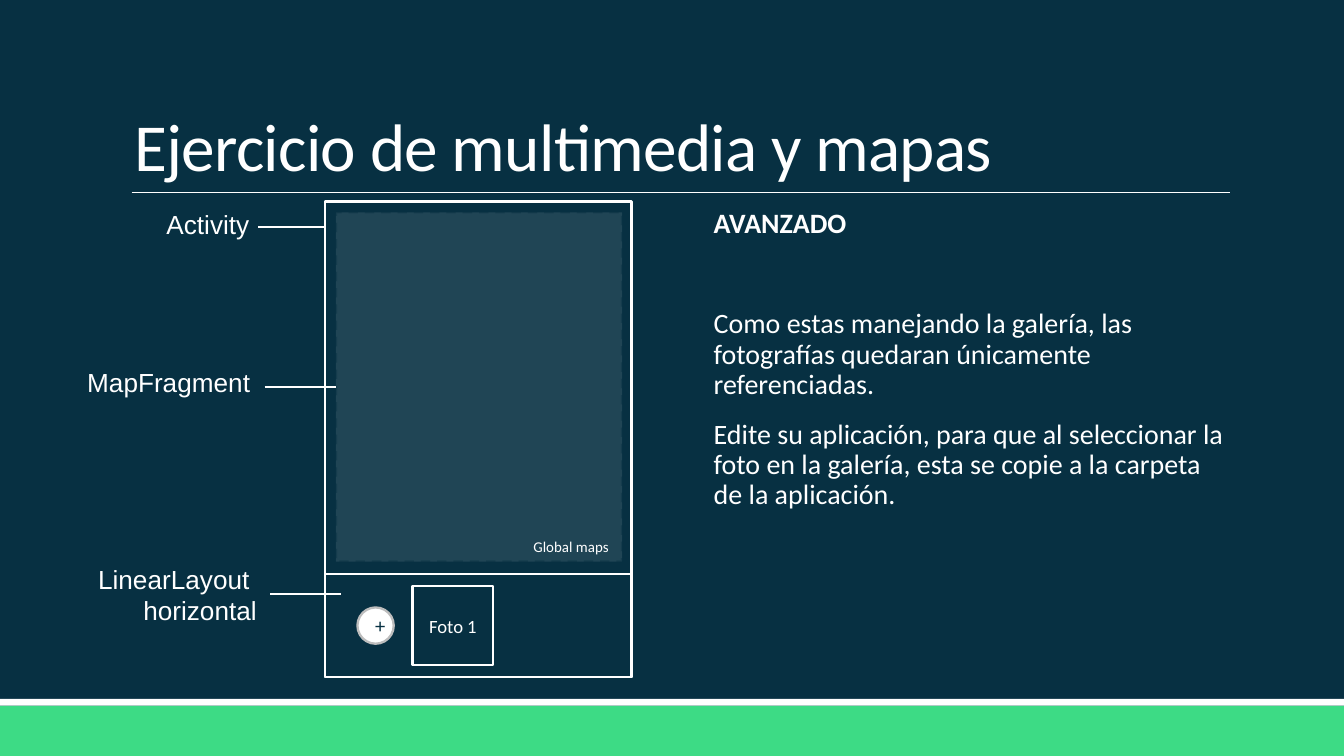
import pptx
import pptx.dml.color
import pptx.enum.dml
import pptx.enum.shapes
import pptx.enum.text
import pptx.oxml.ns
import pptx.util
from lxml import etree

Inches = pptx.util.Inches
Pt = pptx.util.Pt
SHAPES = pptx.enum.shapes.MSO_SHAPE
ALIGN = pptx.enum.text.PP_ALIGN
ANCHOR = pptx.enum.text.MSO_ANCHOR
AUTO_SIZE = pptx.enum.text.MSO_AUTO_SIZE

NAVY, GREEN, WHITE, GREY = "073042", "3DDB85", "FFFFFF", "BDBDBD"
PAGE_WIDTH = 10
PAGE_HEIGHT = PAGE_WIDTH * 9 / 16


def colour(hex_text):
    return pptx.dml.color.RGBColor.from_string(hex_text)


def set_alpha(fill, percent):
    """Make a solid fill (of a shape or a line) partly transparent."""
    fill_xml = fill._xPr.find(pptx.oxml.ns.qn("a:solidFill"))
    alpha = etree.SubElement(fill_xml[0], pptx.oxml.ns.qn("a:alpha"))
    alpha.set("val", str(percent * 1000))


def write(para, text, size=14, font="Calibri", ink=WHITE, bold=False,
          align=None, line_spacing=None, before=None, after=None, tracking=None):
    span = para.add_run()
    span.text = text
    span.font.size = Pt(size)
    span.font.name = font
    span.font.bold = bold
    span.font.color.rgb = colour(ink)
    if tracking is not None:
        span.font._element.set("spc", str(round(tracking * 100)))
    para.alignment = align
    para.line_spacing = line_spacing
    if before is not None:
        para.space_before = Pt(before)
    if after is not None:
        para.space_after = Pt(after)


def add_block(page, left, top, width, height, kind=SHAPES.RECTANGLE,
              fill=None, line=None):
    shape = page.shapes.add_shape(kind, Inches(left), Inches(top),
                                  Inches(width), Inches(height))
    shape.shadow.inherit = False
    if fill:
        shape.fill.solid()
        shape.fill.fore_color.rgb = colour(fill)
    else:
        shape.fill.background()
    if line:
        shape.line.color.rgb = colour(line)
        shape.line.width = Pt(1.25)
    else:
        shape.line.fill.background()
    return shape


def add_line(page, start_x, end_x, y, width=1):
    line = page.shapes.add_connector(
        pptx.enum.shapes.MSO_CONNECTOR.STRAIGHT,
        Inches(start_x), Inches(y), Inches(end_x), Inches(y))
    line.line.color.rgb = colour(WHITE)
    line.line.width = Pt(width)
    etree.SubElement(line._element.spPr, pptx.oxml.ns.qn("a:effectLst"))
    return line


def add_backdrop(page, width, height):
    page.background.fill.solid()
    page.background.fill.fore_color.rgb = colour(NAVY)
    footer_top = 5.25
    add_block(page, 0, footer_top, width, height - footer_top, fill=GREEN)
    add_block(page, 0, footer_top - 0.05, width, 0.05, fill=WHITE)


def add_title(page, left, top, width, height):
    title = page.shapes.title
    title.left, title.top = Inches(left), Inches(top)
    title.width, title.height = Inches(width), Inches(height)
    frame = title.text_frame
    frame.auto_size = AUTO_SIZE.NONE
    frame.vertical_anchor = ANCHOR.BOTTOM
    write(frame.paragraphs[0], "Ejercicio de multimedia y mapas", size=36,
          align=ALIGN.LEFT, line_spacing=0.85, before=0, tracking=-0.4)
    # Rule below the title
    add_line(page, left + 0.08, left + width, top + height, width=0.5)


def add_instructions(page, left, top, width, height):
    box = page.shapes.add_textbox(Inches(left), Inches(top),
                                  Inches(width), Inches(height))
    frame = box.text_frame
    frame.word_wrap = True
    frame.margin_left, frame.margin_right = Inches(0.07), 0
    paragraphs = [
        ("AVANZADO", True, 0),
        ("Como estas manejando la galería, las fotografías quedaran "
         "únicamente referenciadas.", False, 36),
        ("Edite su aplicación, para que al seleccionar la foto en la galería, "
         "esta se copie a la carpeta de la aplicación.", False, 9),
    ]
    for index, (text, bold, before) in enumerate(paragraphs):
        para = frame.add_paragraph() if index else frame.paragraphs[0]
        write(para, text, size=15, bold=bold, align=ALIGN.LEFT,
              line_spacing=0.9, before=before, after=1.5)


def add_wireframe(page, left, top, width, height):
    """Draw the app screen and return its map area."""
    # Activity and the gallery strip at its foot
    add_block(page, left, top, width, height, line=WHITE)
    strip_height = 0.77
    strip_top = top + height - strip_height
    add_block(page, left, strip_top, width, strip_height, line=WHITE)

    # Map fragment
    map_area = add_block(page, left + 0.08, top + 0.08, width - 0.15, 2.6,
                         fill=WHITE, line=NAVY)
    set_alpha(map_area.fill, 10)
    set_alpha(map_area.line.fill, 41)
    map_area.line.dash_style = pptx.enum.dml.MSO_LINE.DASH
    map_area.text_frame.vertical_anchor = ANCHOR.BOTTOM
    write(map_area.text_frame.paragraphs[0], "Global maps", size=8,
          align=ALIGN.RIGHT)

    # Add button and first photo
    button = add_block(page, left + 0.24, strip_top + 0.25, 0.27, 0.27,
                       kind=SHAPES.OVAL, fill=WHITE, line=GREY)
    photo = add_block(page, left + 0.65, strip_top + 0.09, 0.6, 0.59, line=WHITE)
    for shape, text, size, ink in ((button, "+", 11, NAVY),
                                   (photo, "Foto 1", 10, WHITE)):
        shape.text_frame.vertical_anchor = ANCHOR.MIDDLE
        write(shape.text_frame.paragraphs[0], text, size=size, ink=ink,
              align=ALIGN.CENTER)
    return map_area


def add_label(page, left, top, width, height, lines, line_start, line_end, line_y):
    """Place a label and its leader line, which is returned."""
    box = page.shapes.add_textbox(Inches(left), Inches(top),
                                  Inches(width), Inches(height))
    frame = box.text_frame
    frame.word_wrap = False
    frame.auto_size = AUTO_SIZE.SHAPE_TO_FIT_TEXT
    for index, text in enumerate(lines):
        para = frame.add_paragraph() if index else frame.paragraphs[0]
        write(para, text, font="Arial",
              align=ALIGN.RIGHT if len(lines) > 1 else ALIGN.LEFT)
    return add_line(page, line_start, line_end, line_y)


def main():
    deck = pptx.Presentation()
    deck.slide_width, deck.slide_height = Inches(PAGE_WIDTH), Inches(PAGE_HEIGHT)
    page = deck.slides.add_slide(deck.slide_layouts[5])

    add_backdrop(page, PAGE_WIDTH, PAGE_HEIGHT)
    add_title(page, 0.9, 0.24, 8.25, 1.19)
    add_instructions(page, 5.24, 1.51, 3.91, 3.3)
    map_area = add_wireframe(page, 2.42, 1.5, 2.28, 3.54)

    # Labels of the screen parts
    add_label(page, 1.14, 1.5, 0.82, 0.34, ["Activity"], 1.92, 2.42, 1.69)
    map_line = add_label(page, 0.55, 2.68, 1.42, 0.34, ["MapFragment"],
                         1.97, 2.5, 2.88)
    map_line.end_connect(map_area, 1)
    add_label(page, 0.62, 4.14, 1.39, 0.57, ["LinearLayout ", "horizontal"],
              2.01, 2.54, 4.42)

    deck.save("out.pptx")


if __name__ == "__main__":
    main()
